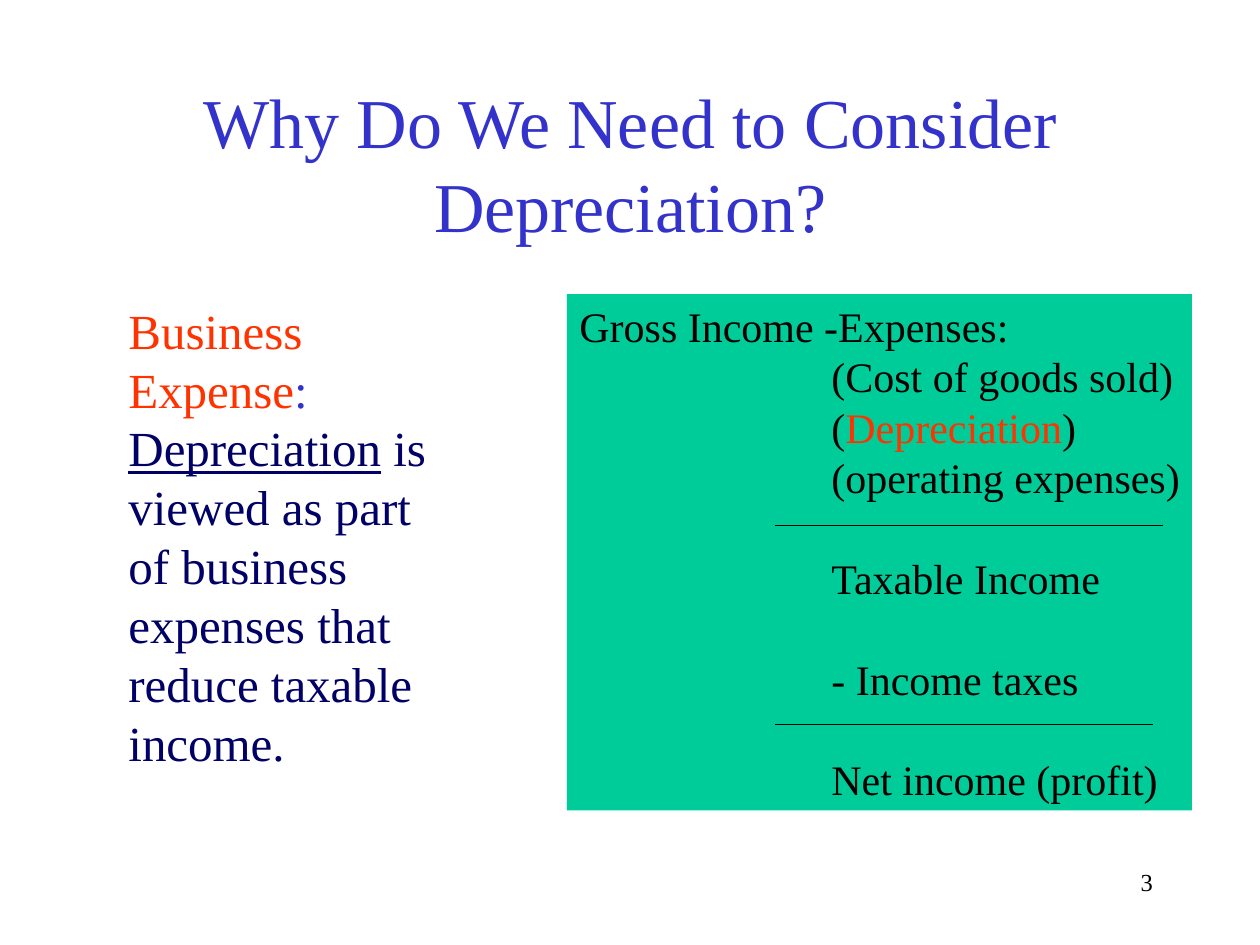
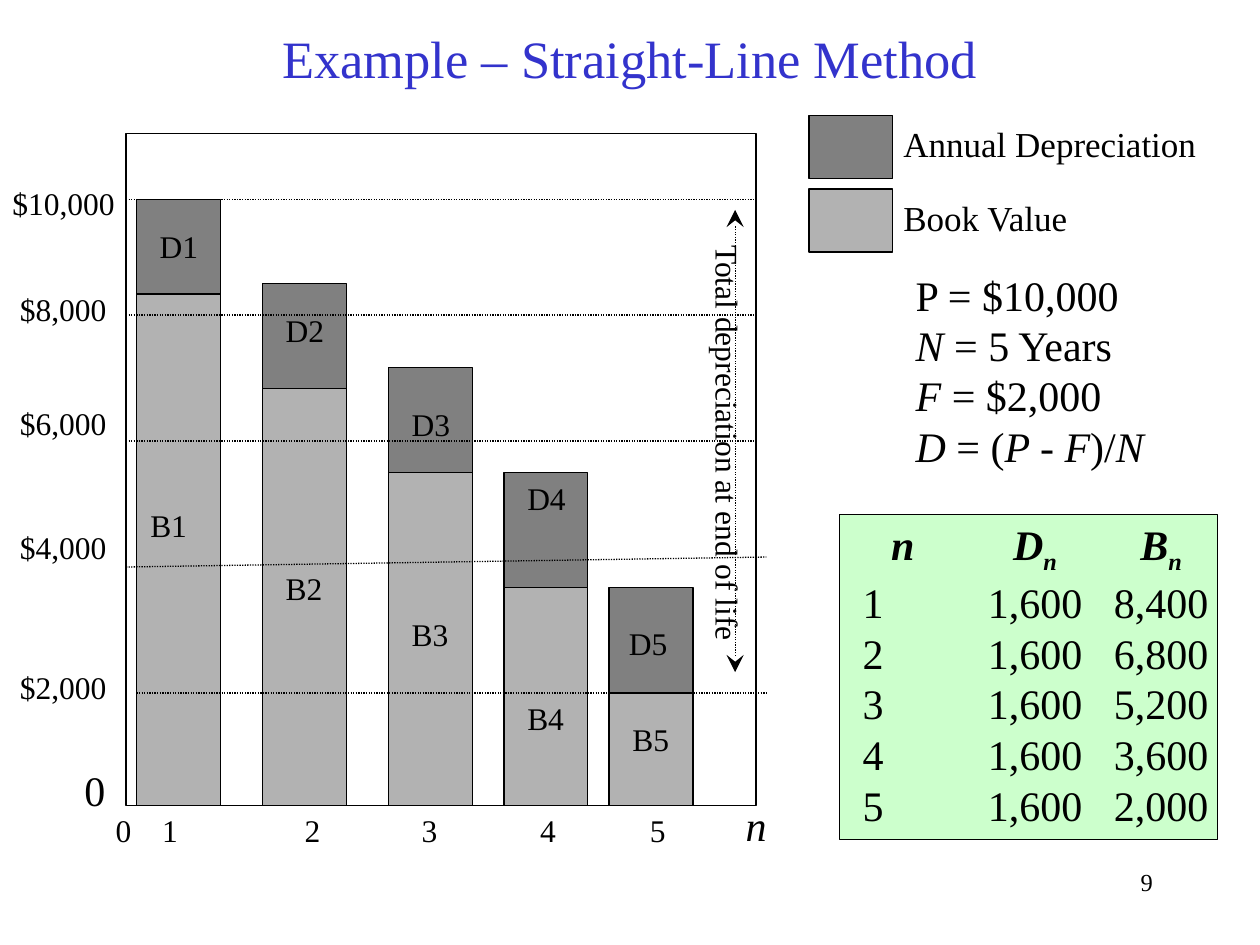
from typing import NamedTuple

from lxml import etree
from pptx import Presentation
from pptx.dml.color import RGBColor
from pptx.enum.dml import MSO_LINE
from pptx.enum.shapes import MSO_CONNECTOR, MSO_SHAPE
from pptx.enum.text import MSO_ANCHOR, PP_ALIGN
from pptx.oxml.ns import qn
from pptx.util import Cm, Pt

LEFT, CENTER, RIGHT = PP_ALIGN.LEFT, PP_ALIGN.CENTER, PP_ALIGN.RIGHT
TOP, MIDDLE = MSO_ANCHOR.TOP, MSO_ANCHOR.MIDDLE
RECTANGLE = MSO_SHAPE.RECTANGLE
STRAIGHT = MSO_CONNECTOR.STRAIGHT
DOTTED = MSO_LINE.ROUND_DOT
PLAIN_TABLE = "{2D5ABB26-0587-4C30-8999-92F81FD0307C}"


class Theme:
    font = "Times New Roman"
    ink = "000000"
    title = "3333CC"
    accent = "FF3300"
    navy = "000066"
    statement = "00CC99"
    schedule = "CCFFCC"
    depreciation = "808080"
    book_value = "B2B2B2"
    title_size = 40
    small_title_size = 30
    lead_size = 28
    body_size = 24
    legend_size = 20
    label_size = 18
    number_size = 14
    line_width = 0.75
    blank_line = 28.8


class Box(NamedTuple):
    """A region in centimetres."""
    left: float
    top: float
    width: float
    height: float

    def inside(self, x, y, width, height):
        return Box(self.left + x, self.top + y, width, height)

    def lengths(self):
        return [Cm(value) for value in self]


def rgb(color):
    return RGBColor.from_string(color)


def write(frame, lines, size=Theme.body_size, color=Theme.ink, align=LEFT,
          anchor=TOP, wrap=False, bold=False):
    """Fill a frame; a line is a string or a list of (text, format) spans."""
    frame.word_wrap = wrap
    frame.vertical_anchor = anchor
    for index, line in enumerate(lines):
        para = frame.paragraphs[0] if index == 0 else frame.add_paragraph()
        para.alignment = align
        for text, style in [(line, {})] if isinstance(line, str) else line:
            span = para.add_run()
            span.text = text
            font = span.font
            font.name, font.size = Theme.font, Pt(size)
            font.bold = bold
            font.italic = style.get("italic", False)
            font.underline = style.get("underline", False)
            font.color.rgb = rgb(style.get("color", color))
            if style.get("subscript"):
                span._r.get_or_add_rPr().set("baseline", "-25000")


def add_text(page, box, *lines, **style):
    shape = page.shapes.add_textbox(*box.lengths())
    write(shape.text_frame, lines, **style)
    return shape


def add_rectangle(page, box, fill=None, outlined=True):
    shape = page.shapes.add_shape(RECTANGLE, *box.lengths())
    shape.shadow.inherit = False
    if fill:
        shape.fill.solid()
        shape.fill.fore_color.rgb = rgb(fill)
    else:
        shape.fill.background()
    if outlined:
        shape.line.color.rgb = rgb(Theme.ink)
        shape.line.width = Pt(Theme.line_width)
    else:
        shape.line.fill.background()
    return shape


def add_line(page, box, x1, y1, x2, y2, dash=None, arrows=False):
    """Draw a line between two points measured from the box's corner."""
    line = page.shapes.add_connector(
        STRAIGHT, Cm(box.left + x1), Cm(box.top + y1),
        Cm(box.left + x2), Cm(box.top + y2))
    line.line.color.rgb = rgb(Theme.ink)
    line.line.width = Pt(Theme.line_width)
    if dash:
        line.line.dash_style = dash
    if arrows:
        for end in ("a:headEnd", "a:tailEnd"):
            etree.SubElement(line.line._get_or_add_ln(), qn(end),
                             type="stealth", w="lg", len="lg")
    properties = line.element.find(qn("p:spPr"))
    etree.SubElement(properties, qn("a:effectLst"))


def add_page(deck, title, title_box, title_size, number):
    page = deck.slides.add_slide(deck.slide_layouts[6])
    add_text(page, Box(18.21, 17.35, 5.28, 1.27), str(number),
             size=Theme.number_size, align=RIGHT, wrap=True)
    add_text(page, title_box, title, size=title_size, color=Theme.title,
             align=CENTER, anchor=MIDDLE, wrap=True)
    return page


def add_income_statement(page, box):
    panel = add_rectangle(page, box, Theme.statement, outlined=False)
    frame = panel.text_frame
    write(frame, [
        "Gross Income -Expenses:",
        "(Cost of goods sold)",
        [("(", {}), ("Depreciation", {"color": Theme.accent}), (")", {})],
        "(operating expenses)",
        "Taxable Income",
        "- Income taxes",
        "Net income (profit)",
    ], wrap=True)
    frame.margin_right = 0
    for index, para in enumerate(frame.paragraphs[1:], start=1):
        para._p.get_or_add_pPr().set("marL", str(Cm(5.08)))
        if index > 3:
            para.space_before = Pt(Theme.blank_line)
    for y, width in ((4.66, 7.83), (8.68, 7.62)):
        add_line(page, box, 4.19, y, 4.19 + width, y)


def add_explanation(page, box):
    add_text(page, box, [
        ("Business Expense", {"color": Theme.accent}),
        (": ", {"color": Theme.title}),
        ("Depreciation", {"underline": True}),
        (" is viewed as part of business expenses that reduce taxable income.", {}),
    ], size=Theme.lead_size, color=Theme.navy, wrap=True)


def add_bars(page, box):
    width, label_size = 1.69, (1.6, 1.02)
    # left, top, split, then the label places: D x, D y, B x, B y
    bars = [
        (0.21, 1.33, 3.24, 0.22, 1.76, 0.03, 7.39),
        (2.75, 3.03, 5.14, 0.22, 3.46, 0.22, 8.66),
        (5.29, 4.72, 6.84, 0.22, 5.36, 0.22, 9.58),
        (7.62, 6.84, 9.16, 0.22, 6.84, 0.22, 11.28),
        (9.74, 9.16, 11.28, 0.15, 9.76, 0.22, 11.71),
    ]
    for left, top, split, *_ in bars:
        add_rectangle(page, box.inside(left, split, width, box.height - split),
                      Theme.book_value)
        add_rectangle(page, box.inside(left, top, width, split - top),
                      Theme.depreciation)
    add_rectangle(page, box)
    for year, (left, _, _, d_x, d_y, b_x, b_y) in enumerate(bars, start=1):
        for letter, x, y in (("D", d_x, d_y), ("B", b_x, b_y)):
            add_text(page, box.inside(left + x, y, *label_size),
                     f"{letter}{year}", size=Theme.label_size)


def add_axes(page, box):
    gridlines = [(0, 1.33, 12.7, 1.33), (0, 3.66, 12.7, 3.66),
                 (0, 6.2, 12.7, 6.2), (0, 8.74, 12.91, 8.54),
                 (0.21, 11.28, 12.91, 11.28)]
    for ends in gridlines:
        add_line(page, box, *ends, dash=DOTTED)
    amounts = [("$10,000", -2.54, 0.89), ("$8,000", -2.39, 3.03),
               ("$6,000", -2.39, 5.34), ("$4,000", -2.39, 7.83),
               ("$2,000", -2.39, 10.65)]
    for amount, x, y in amounts:
        add_text(page, box.inside(x, y, 2.9, 1.02), amount, size=Theme.label_size)
    add_text(page, box.inside(-1.09, 12.6, 0.91, 1.27), "0")
    for year, center in enumerate((-0.05, 0.89, 3.76, 6.12, 8.51, 10.72)):
        add_text(page, box.inside(center - 0.5, 13.54, 1, 1.02), str(year),
                 size=Theme.label_size, align=CENTER)
    add_text(page, box.inside(12.24, 13.31, 0.91, 1.27), [("n", {"italic": True})])


def add_total_arrow(page, box):
    add_line(page, box, 12.28, 10.86, 12.28, 1.54, dash=DOTTED, arrows=True)
    label = add_text(page, box.inside(11.38, 2, 1.27, 8.5),
                     "Total depreciation at end of life", size=Theme.label_size)
    frame = label.text_frame
    frame.margin_left = frame.margin_right = Cm(0.13)
    frame.margin_top = frame.margin_bottom = Cm(0.25)
    next(label.element.iter(qn("a:bodyPr"))).set("vert", "eaVert")


def add_legend(page, box):
    entries = [("Annual Depreciation", Theme.depreciation),
               ("Book Value", Theme.book_value)]
    for row, (name, color) in enumerate(entries):
        y = row * 1.48
        add_rectangle(page, box.inside(0, y, 1.69, 1.27), color)
        add_text(page, box.inside(1.65, y + 0.02, box.width - 1.65, 1.12), name,
                 size=Theme.legend_size)


def add_givens(page, box):
    slanted = {"italic": True}
    add_text(page, box,
             "P = $10,000",
             [("N", slanted), (" = 5 Years", {})],
             [("F", slanted), (" = $2,000", {})],
             [("D", slanted), (" = (", {}), ("P - F", slanted), (")/", {}),
              ("N", slanted)])


def add_schedule(page, box):
    add_rectangle(page, box, Theme.schedule)
    slanted = {"italic": True}
    index = ("n", {"italic": True, "subscript": True})
    rows = [[[("n", slanted)], [("D", slanted), index], [("B", slanted), index]]]
    rows += [[str(year), "1,600", f"{10000 - 1600 * year:,}"]
             for year in range(1, 6)]
    header_height, row_height = 1.35, 1.02
    area = box.inside(0, 0, box.width, header_height + 5 * row_height)
    holder = page.shapes.add_table(len(rows), 3, *area.lengths())
    next(holder.element.iter(qn("a:tableStyleId"))).text = PLAIN_TABLE
    table = holder.table
    table.first_row = table.horz_banding = False
    for column, width in zip(table.columns, (2.54, 2.79, 2.29)):
        column.width = Cm(width)
    for r, row in enumerate(rows):
        table.rows[r].height = Cm(row_height if r else header_height)
        for c, content in enumerate(row):
            cell = table.cell(r, c)
            cell.fill.background()
            cell.margin_top, cell.margin_bottom = Cm(0 if r else 0.17), 0
            cell.margin_left = cell.margin_right = Cm(0 if c else 0.46)
            write(cell.text_frame, [content], bold=r == 0, wrap=True,
                  align=LEFT if r and c == 0 else CENTER)
            cell.vertical_anchor = TOP


def build_reason_page(deck):
    page = add_page(deck, "Why Do We Need to Consider Depreciation?",
                    Box(1.91, 1.69, 21.59, 3.18), Theme.title_size, 3)
    add_income_statement(page, Box(11.43, 5.93, 12.6, 10.41))
    add_explanation(page, Box(2.34, 5.93, 7.19, 9.75))


def build_example_page(deck):
    page = add_page(deck, "Example – Straight-Line Method",
                    Box(1.91, 0, 21.59, 2.31), Theme.small_title_size, 9)
    chart = Box(2.54, 2.69, 12.7, 13.55)
    add_bars(page, chart)
    add_axes(page, chart)
    add_total_arrow(page, chart)
    add_legend(page, Box(16.31, 2.33, 8.65, 2.75))
    add_givens(page, Box(18.21, 5.3, 5.4, 4.32))
    add_schedule(page, Box(16.93, 10.37, 7.62, 6.56))


def main():
    deck = Presentation()
    deck.slide_width, deck.slide_height = Cm(25.4), Cm(19.05)
    build_reason_page(deck)
    build_example_page(deck)
    deck.save("out.pptx")


if __name__ == "__main__":
    main()
